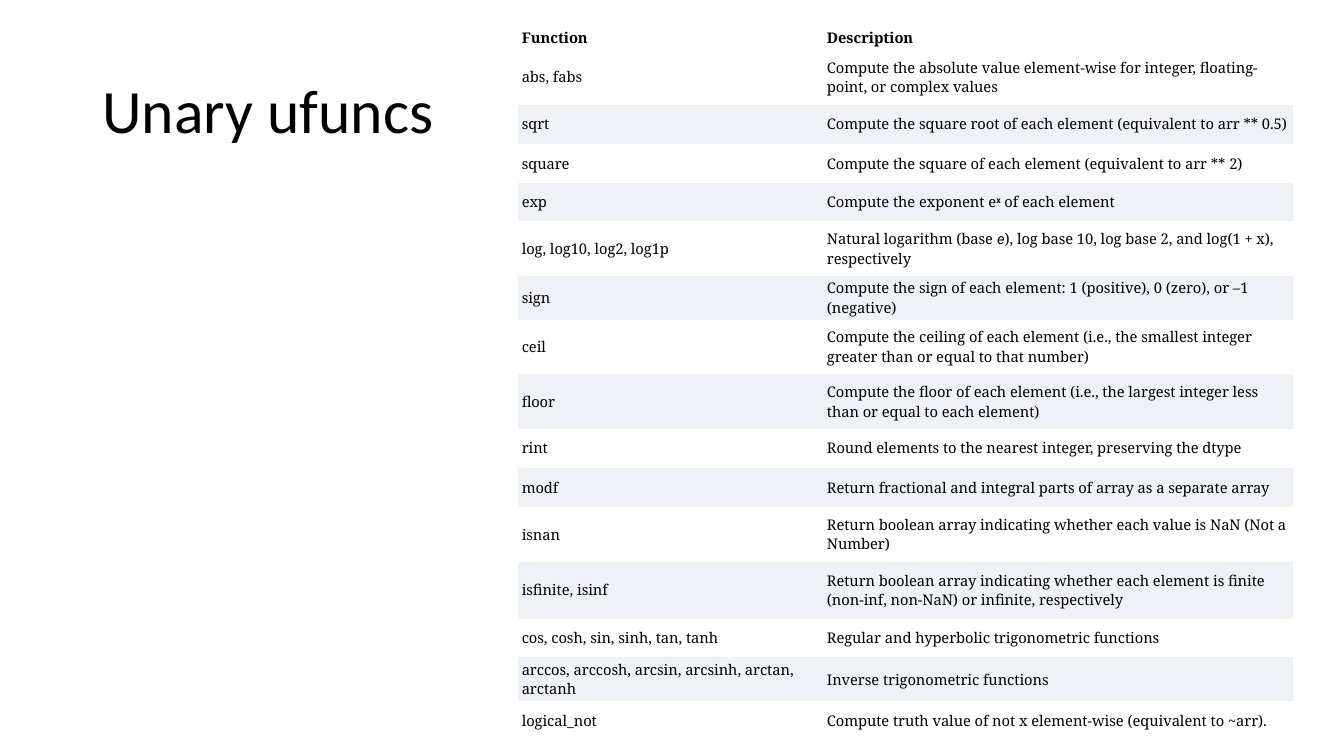
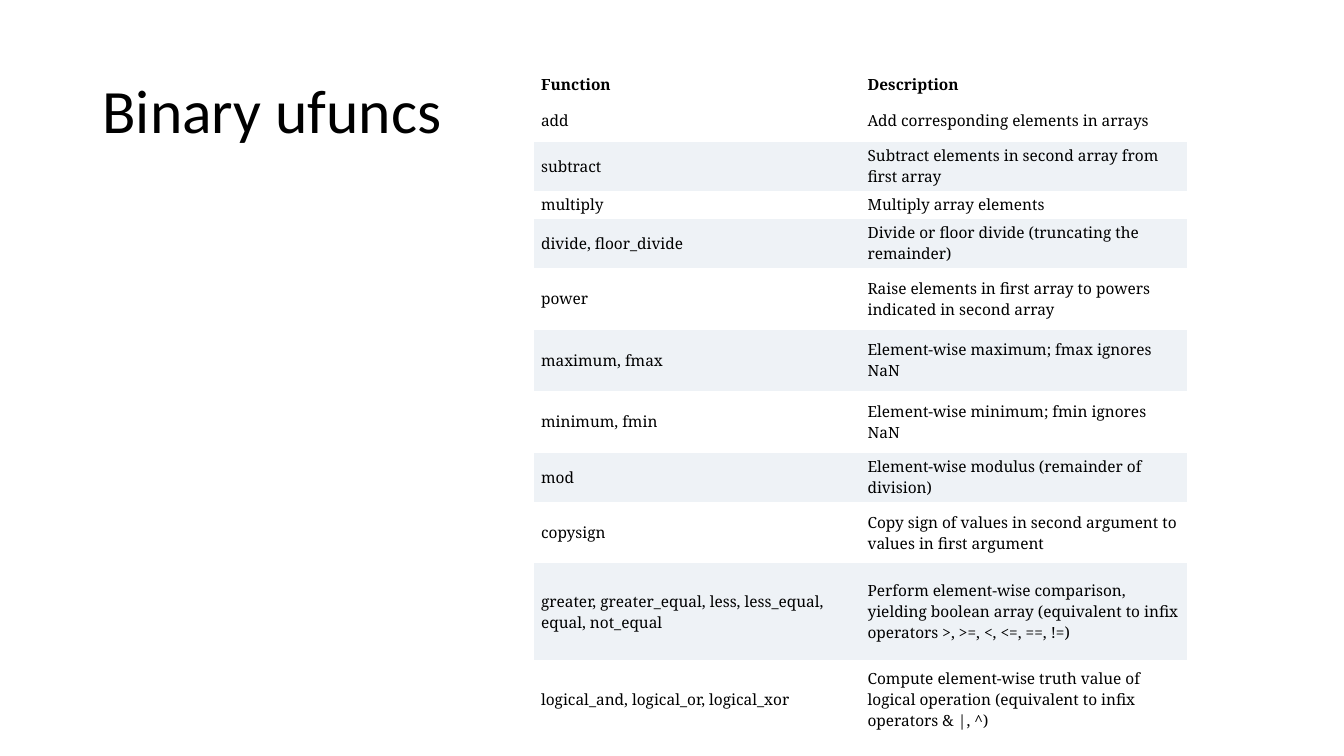
from pptx import Presentation
from pptx.dml.color import RGBColor
from pptx.enum.text import MSO_ANCHOR as Anchor, MSO_AUTO_SIZE as AutoSize, PP_ALIGN as Align
from pptx.util import Pt

BLACK = RGBColor(0x00, 0x00, 0x00)
WHITE = RGBColor(0xFF, 0xFF, 0xFF)
BAND = RGBColor(0xEE, 0xF2, 0xF6)
TITLE_FONT = "Calibri"
TABLE_FONT = "Noto Serif"
SYMBOL_FONT = "Roboto"
PLAIN_STYLE = "{2D5ABB26-0587-4C30-8999-92F81FD0307C}"
TITLE_ONLY = 5

HEADINGS = ("Function", "Description")

UNARY = [
    (39, "abs, fabs", "Compute the absolute value element-wise for integer, floating-point, or complex values"),
    (28, "sqrt", "Compute the square root of each element (equivalent to arr ** 0.5)"),
    (28, "square", "Compute the square of each element (equivalent to arr ** 2)"),
    (27.5, "exp", [
        ("Compute the exponent e", {}),
        ("x", {"font": SYMBOL_FONT, "bold": True, "baseline": 30}),
        (" of each element", {}),
    ]),
    (39, "log, log10, log2, log1p", [
        ("Natural logarithm (base ", {}),
        ("e", {"font": SYMBOL_FONT, "italic": True}),
        ("), log base 10, log base 2, and log(1 + x), respectively", {}),
    ]),
    (28, "sign", "Compute the sign of each element: 1 (positive), 0 (zero), or –1 (negative)"),
    (39, "ceil", "Compute the ceiling of each element (i.e., the smallest integer greater than or equal to that number)"),
    (39, "floor", "Compute the floor of each element (i.e., the largest integer less than or equal to each element)"),
    (28, "rint", "Round elements to the nearest integer, preserving the dtype"),
    (28, "modf", "Return fractional and integral parts of array as a separate array"),
    (39, "isnan", "Return boolean array indicating whether each value is NaN (Not a Number)"),
    (41, "isfinite, isinf", "Return boolean array indicating whether each element is finite (non-inf, non-NaN) or infinite, respectively"),
    (27.5, "cos, cosh, sin, sinh, tan, tanh", "Regular and hyperbolic trigonometric functions"),
    (28, "arccos, arccosh, arcsin, arcsinh, arctan, arctanh", "Inverse trigonometric functions"),
    (28, "logical_not", "Compute truth value of not x element-wise (equivalent to ~arr)."),
]

BINARY = [
    (31, "add", "Add corresponding elements in arrays"),
    (31, "subtract", "Subtract elements in second array from first array"),
    (18, "multiply", "Multiply array elements"),
    (31, "divide, floor_divide", "Divide or floor divide (truncating the remainder)"),
    (44, "power", "Raise elements in first array to powers indicated in second array"),
    (44, "maximum, fmax", "Element-wise maximum; fmax ignores NaN"),
    (44, "minimum, fmin", "Element-wise minimum; fmin ignores NaN"),
    (31, "mod", "Element-wise modulus (remainder of division)"),
    (44, "copysign", "Copy sign of values in second argument to values in first argument"),
    (69, "greater, greater_equal, less, less_equal, equal, not_equal",
     "Perform element-wise comparison, yielding boolean array (equivalent to infix operators >, >=, <, <=, ==, !=)"),
    (56, "logical_and, logical_or, logical_xor",
     "Compute element-wise truth value of logical operation (equivalent to infix operators & |, ^)"),
]


def write_text(paragraph, text, font=TABLE_FONT, size=11, bold=False, italic=False, baseline=0):
    run = paragraph.add_run()
    run.text = text
    run.font.name = font
    run.font.size = Pt(size)
    run.font.bold = bold
    run.font.italic = italic
    run.font.color.rgb = BLACK
    if baseline:
        run._r.get_or_add_rPr().set("baseline", str(baseline * 1000))


def add_titled_slide(deck, heading):
    slide = deck.slides.add_slide(deck.slide_layouts[TITLE_ONLY])
    title = slide.shapes.title
    title.left, title.top, title.width, title.height = Pt(66), Pt(28.75), Pt(828), Pt(104.4)
    frame = title.text_frame
    frame.auto_size = AutoSize.NONE
    frame.vertical_anchor = Anchor.MIDDLE
    paragraph = frame.paragraphs[0]
    paragraph.alignment = Align.LEFT
    paragraph.line_spacing = 0.9
    write_text(paragraph, heading, font=TITLE_FONT, size=44)
    return slide


def fill_cell(cell, content, color, inset, **text_format):
    cell.fill.solid()
    cell.fill.fore_color.rgb = color
    cell.vertical_anchor = Anchor.MIDDLE
    cell.margin_left = cell.margin_right = Pt(inset[0])
    cell.margin_top = cell.margin_bottom = Pt(inset[1])
    pieces = [(content, {})] if isinstance(content, str) else content
    for text, changes in pieces:
        write_text(cell.text_frame.paragraphs[0], text, **{**text_format, **changes})


def add_function_table(slide, functions, left, top, widths, header_height, inset, size):
    rows = [(header_height, *HEADINGS), *functions]
    total_height = sum(row[0] for row in rows)
    table = slide.shapes.add_table(
        len(rows), len(widths), Pt(left), Pt(top), Pt(sum(widths)), Pt(total_height)
    ).table
    table._tbl.tblPr.find("{*}tableStyleId").text = PLAIN_STYLE
    table.horz_banding = False
    for column, width in zip(table.columns, widths):
        column.width = Pt(width)
    for index, (height, *contents) in enumerate(rows):
        table.rows[index].height = Pt(height)
        color = BAND if index and index % 2 == 0 else WHITE
        for cell, content in zip(table.rows[index].cells, contents):
            fill_cell(cell, content, color, inset, size=size, bold=index == 0)


def main():
    deck = Presentation()
    deck.slide_width, deck.slide_height = Pt(960), Pt(540)
    unary = add_titled_slide(deck, "Unary ufuncs")
    add_function_table(unary, UNARY, left=370, top=18.7, widths=(218, 335.5),
                       header_height=16, inset=(2.7, 1.4), size=10.5)
    binary = add_titled_slide(deck, "Binary ufuncs")
    add_function_table(binary, BINARY, left=381.5, top=50.4, widths=(233.25, 233.25),
                       header_height=18, inset=(5, 2.5), size=11)
    deck.save("out.pptx")


if __name__ == "__main__":
    main()
